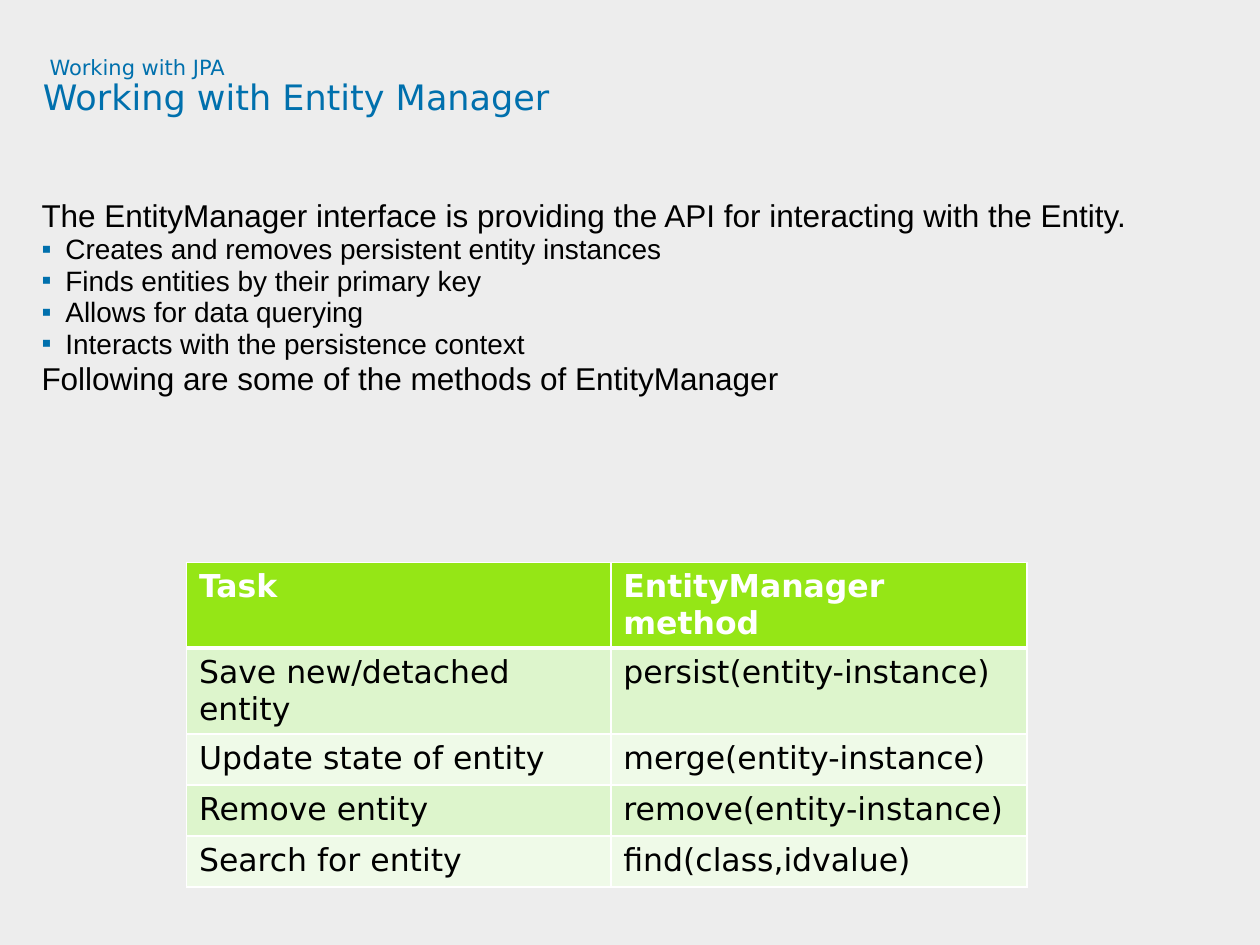
from lxml import etree
from pptx import Presentation
from pptx.dml.color import RGBColor
from pptx.enum.text import MSO_ANCHOR, MSO_AUTO_SIZE, PP_ALIGN
from pptx.oxml.ns import qn
from pptx.util import Emu, Inches, Pt

TOP, LEFT, NO_FIT = MSO_ANCHOR.TOP, PP_ALIGN.LEFT, MSO_AUTO_SIZE.NONE
TITLE_ONLY = 5
BLUE, BLACK, WHITE, GREY = "0070AD", "000000", "FFFFFF", "EDEDED"
HEADER_GREEN, BANDS = "95E616", ("DDF5CC", "EFFAE8")
SANS, BODY_FONT = "DejaVu Sans", "Arial"

TITLE_LINES = [(" Working with JPA", 12), ("Working with Entity Manager", 20)]
INTRO = "The EntityManager interface is providing the API for interacting with the Entity."
DUTIES = [
    "Creates and removes persistent entity instances",
    "Finds entities by their primary key",
    "Allows for data querying",
    "Interacts with the persistence context",
]
LEAD_IN = "Following are some of the methods of EntityManager"
METHODS = [
    ("Task", "EntityManager method"),
    ("Save new/detached entity", "persist(entity-instance)"),
    ("Update state of entity", "merge(entity-instance)"),
    ("Remove entity", "remove(entity-instance)"),
    ("Search for entity", "find(class,idvalue)"),
]


def rgb(value):
    return RGBColor.from_string(value)


def apply(target, **values):
    for name, value in values.items():
        setattr(target, name, value)


def style_font(font, size, color, name, bold=False):
    apply(font, size=Pt(size), name=name, bold=bold)
    font.color.rgb = rgb(color)


class SlideBuilder:
    """Holds the deck's style and its current slide."""

    def __init__(self, width, height):
        self.deck = Presentation()
        apply(self.deck, slide_width=Inches(width), slide_height=Inches(height))
        self.slide = self.deck.slides.add_slide(self.deck.slide_layouts[TITLE_ONLY])
        background = self.slide.background.fill
        background.solid()
        background.fore_color.rgb = rgb(GREY)

    def box(self, left, top, width, height):
        across, down = self.deck.slide_width, self.deck.slide_height
        shares = (left * across, top * down, width * across, height * down)
        return [Emu(round(share)) for share in shares]

    def frame(self, holder):
        apply(holder.text_frame, word_wrap=True, auto_size=NO_FIT, vertical_anchor=TOP,
              margin_left=0, margin_top=0, margin_right=0, margin_bottom=0)
        return holder.text_frame

    def title(self, lines, *area):
        title = self.slide.shapes.title
        apply(title, **dict(zip(("left", "top", "width", "height"), self.box(*area))))
        paragraph = self.frame(title).paragraphs[0]
        apply(paragraph, alignment=LEFT, line_spacing=0.9)
        for index, (text, size) in enumerate(lines):
            if index:
                paragraph.add_line_break()
            run = paragraph.add_run()
            run.text = text
            style_font(run.font, size, BLUE, SANS)
        for line_break in paragraph._p.findall(qn("a:br")):
            etree.SubElement(line_break, qn("a:rPr"), sz=str(lines[0][1] * 100))

    def body(self, entries, *area):
        frame = self.frame(self.slide.shapes.add_textbox(*self.box(*area)))
        for index, (text, bulleted) in enumerate(entries):
            paragraph = frame.add_paragraph() if index else frame.paragraphs[0]
            apply(paragraph, alignment=LEFT, space_after=Pt(4.5),
                  line_spacing=Pt(13.5 if bulleted else 16.5))
            if bulleted:
                self.bullet(paragraph)
            run = paragraph.add_run()
            run.text = text
            style_font(run.font, 16 if bulleted else 18, BLACK, BODY_FONT)

    def bullet(self, paragraph):
        paragraph.level = 1
        properties = paragraph._p.get_or_add_pPr()
        indent = Inches(0.19)
        properties.set("marL", str(indent))
        properties.set("indent", str(-indent))
        color = etree.SubElement(properties, qn("a:buClr"))
        etree.SubElement(color, qn("a:srgbClr"), val=BLUE)
        etree.SubElement(properties, qn("a:buFont"), typeface=BODY_FONT)
        etree.SubElement(properties, qn("a:buChar"), char="▪")

    def table(self, rows, column_shares, *area):
        box = self.box(*area)
        table = self.slide.shapes.add_table(len(rows), len(rows[0]), *box).table
        for column, share in zip(table.columns, column_shares):
            column.width = Emu(round(box[2] * share))
        for row_index, texts in enumerate(rows):
            for column_index, text in enumerate(texts):
                self.cell(table.cell(row_index, column_index), text, row_index)

    def cell(self, cell, text, row_index):
        is_header = row_index == 0
        widths = {"L": 1, "R": 1, "T": 3 if row_index == 1 else 1, "B": 3 if is_header else 1}
        for side, width in widths.items():
            border = etree.SubElement(cell._tc.get_or_add_tcPr(), qn(f"a:ln{side}"), w=str(Pt(width)))
            fill = etree.SubElement(border, qn("a:solidFill"))
            etree.SubElement(fill, qn("a:srgbClr"), val=WHITE)
        cell.fill.solid()
        cell.fill.fore_color.rgb = rgb(HEADER_GREEN if is_header else BANDS[(row_index - 1) % 2])
        run = cell.text_frame.paragraphs[0].add_run()
        run.text = text
        style_font(run.font, 18, WHITE if is_header else BLACK, SANS, is_header)


def main():
    builder = SlideBuilder(10, 7.5)
    builder.title(TITLE_LINES, 0.034, 0.061, 0.909, 0.125)
    duties = [(duty, True) for duty in DUTIES]
    builder.body([(INTRO, False), *duties, (LEAD_IN, False)], 0.033, 0.217, 0.967, 0.677)
    builder.table(METHODS, (0.505, 0.495), 0.148, 0.595, 0.667, 0.27)
    builder.deck.save("out.pptx")


if __name__ == "__main__":
    main()
